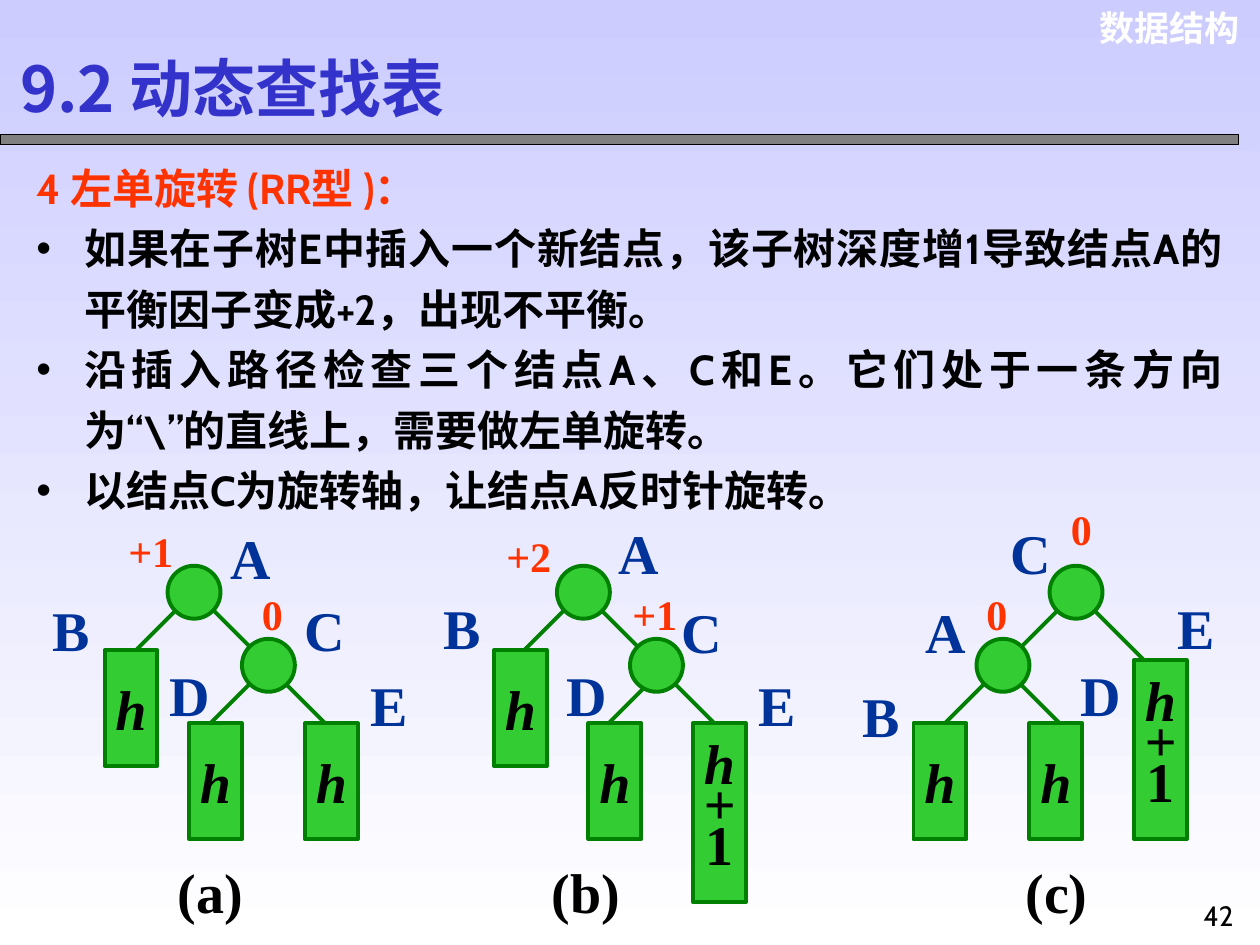
from dataclasses import dataclass

from lxml import etree
from pptx import Presentation
from pptx import util as u
from pptx.dml.color import RGBColor
from pptx.enum import lang, shapes, text
from pptx.oxml.ns import qn


@dataclass(frozen=True)
class Theme:
    sky: str = "CCCCFF"
    white: str = "FFFFFF"
    black: str = "000000"
    gray: str = "808080"
    title: str = "3333CC"
    name: str = "003399"
    accent: str = "FF3300"
    green: str = "33CC33"
    edge: str = "008000"
    sans: str = "Cabin"
    serif: str = "Times New Roman"
    heading: str = "Noto Sans CJK SC"
    header: str = "Arial"
    big: int = 36
    label: int = 32
    body: int = 24
    small: int = 20
    page: int = 16


T = Theme()
NODE = 0.42
LINE = 2.25
PLAIN = ["h"]
TALLER = ["h", "+", "1"]

HEADING = "4 左单旋转 (RR型 )："
BULLETS = [
    "如果在子树E中插入一个新结点，该子树深度增1导致结点A的平衡因子变成+2，出现不平衡。",
    "沿插入路径检查三个结点A、C和E。它们处于一条方向为“\\”的直线上，需要做左单旋转。",
    "以结点C为旋转轴，让结点A反时针旋转。",
]

TREES = [
    {
        "edges": [(1.42, 4.82, -0.42), (1.67, 4.82, 0.5), (2, 5.41, -0.42), (2.25, 5.41, 0.5)],
        "nodes": [(1.33, 4.49), (1.92, 5.07)],
        "subtrees": [(0.83, 5.16, PLAIN), (1.5, 5.74, PLAIN), (2.42, 5.74, PLAIN)],
        "names": [("A", 1.73, 4.11), ("B", 0.32, 4.68), ("C", 2.32, 4.68),
                  ("D", 1.25, 5.19), ("E", 2.84, 5.27)],
        "balances": [("+1", 0.92, 4.12), ("0", 1.98, 4.62)],
        "caption": ("(a)", 1.31),
    },
    {
        "edges": [(4.5, 4.82, -0.42), (4.67, 4.74, 0.5), (5.25, 5.32, -0.42), (5.25, 5.32, 0.5)],
        "nodes": [(4.42, 4.49), (5, 5.07)],
        "subtrees": [(3.92, 5.16, PLAIN), (4.67, 5.74, PLAIN), (5.5, 5.74, TALLER)],
        "names": [("A", 4.81, 4.07), ("B", 3.42, 4.66), ("C", 5.31, 4.69),
                  ("D", 4.4, 5.19), ("E", 5.92, 5.27)],
        "balances": [("+2", 3.92, 4.16), ("+1", 4.92, 4.62)],
        "caption": ("(b)", 4.28),
    },
    {
        "edges": [(8.42, 4.82, -0.42), (8.58, 4.74, 0.5), (7.83, 5.41, -0.42), (8.08, 5.41, 0.5)],
        "nodes": [(8.33, 4.49), (7.75, 5.07)],
        "subtrees": [(7.25, 5.74, PLAIN), (8.17, 5.74, PLAIN), (9, 5.24, TALLER)],
        "names": [("A", 7.25, 4.69), ("B", 6.75, 5.36), ("C", 7.92, 4.07),
                  ("D", 8.48, 5.19), ("E", 9.25, 4.66)],
        "balances": [("0", 8.4, 3.95), ("0", 7.73, 4.62)],
        "caption": ("(c)", 8.04),
    },
]


def rgb(value):
    return RGBColor.from_string(value)


def inches(*values):
    return [u.Inches(v) for v in values]


def write(p, words, font, size, color, bold=True, italic=False, **layout):
    for key, value in layout.items():
        setattr(p, key, value)
    r = p.add_run()
    r.text = words
    look = {"name": font, "size": u.Pt(size), "bold": bold, "italic": italic,
            "language_id": lang.MSO_LANGUAGE_ID.SIMPLIFIED_CHINESE}
    for key, value in look.items():
        setattr(r.font, key, value)
    r.font.color.rgb = rgb(color)
    etree.SubElement(r.font._element, qn("a:ea"), typeface=font)


def add_text(s, box, words, font, size, color, wrap=False, **layout):
    sp = s.shapes.add_textbox(*inches(*box))
    tf = sp.text_frame
    tf.word_wrap = wrap
    tf.auto_size = text.MSO_AUTO_SIZE.SHAPE_TO_FIT_TEXT
    write(tf.paragraphs[0], words, font, size, color, **layout)


def add_block(s, kind, box, fill, line, weight):
    sp = s.shapes.add_shape(kind, *inches(*box))
    sp.shadow.inherit = False
    sp.fill.solid()
    sp.fill.fore_color.rgb = rgb(fill)
    sp.line.color.rgb = rgb(line)
    sp.line.width = u.Pt(weight)
    return sp


def add_edge(s, x, y, run):
    ends = inches(x, y, x + run, y + abs(run))
    c = s.shapes.add_connector(shapes.MSO_CONNECTOR.STRAIGHT, *ends)
    c.line.color.rgb = rgb(T.edge)
    c.line.width = u.Pt(LINE)
    etree.SubElement(c._element.spPr, qn("a:effectLst"))


def add_subtree(s, x, y, lines):
    tall = len(lines) > 1
    box = (x, y, NODE, 1.42 if tall else 0.92)
    sp = add_block(s, shapes.MSO_SHAPE.RECTANGLE, box, T.green, T.edge, LINE)
    tf = sp.text_frame
    tf.word_wrap = False
    tf.vertical_anchor = text.MSO_ANCHOR.MIDDLE
    for i, words in enumerate(lines):
        p = tf.add_paragraph() if i else tf.paragraphs[0]
        write(p, words, T.serif, T.label, T.black, italic=words != "1",
              alignment=text.PP_ALIGN.CENTER, line_spacing=0.6 if tall else 1.0)


def add_tree(s, tree):
    for edge in tree["edges"]:
        add_edge(s, *edge)
    for x, y in tree["nodes"]:
        add_block(s, shapes.MSO_SHAPE.OVAL, (x, y, NODE, NODE), T.green, T.edge, LINE)
    for subtree in tree["subtrees"]:
        add_subtree(s, *subtree)
    for name, x, y in tree["names"]:
        add_text(s, (x, y, 0.54, 0.64), name, T.serif, T.label, T.name)
    for value, x, y in tree["balances"]:
        width = 0.6 if len(value) > 1 else 0.38
        add_text(s, (x, y, width, 0.5), value, T.serif, T.body, T.accent)
    caption, x = tree["caption"]
    add_text(s, (x, 6.76, 0.85, 0.64), caption, T.serif, T.label, T.black)


def add_bullet(p):
    pPr = p._p.get_or_add_pPr()
    color = etree.SubElement(pPr, qn("a:buClr"))
    etree.SubElement(color, qn("a:srgbClr"), val=T.black)
    etree.SubElement(pPr, qn("a:buFont"), typeface=T.header)
    etree.SubElement(pPr, qn("a:buChar"), char="•")


def add_body(s):
    tf = s.shapes.add_textbox(*inches(0.19, 1.16, 9.61, 2.99)).text_frame
    tf.word_wrap = True
    for i, words in enumerate([HEADING] + BULLETS):
        p = tf.add_paragraph() if i else tf.paragraphs[0]
        pPr = p._p.get_or_add_pPr()
        pPr.set("marL", str(u.Inches(0.38)))
        pPr.set("indent", str(u.Inches(-0.38)))
        if i:
            add_bullet(p)
        write(p, words, T.sans, T.body, T.black if i else T.accent,
              alignment=text.PP_ALIGN.JUSTIFY, line_spacing=1.2)


def add_title(s, words):
    sp = s.shapes.title
    sp.left, sp.top, sp.width, sp.height = inches(0.06, 0.34, 3.88, 1.3)
    tf = sp.text_frame
    tf.word_wrap = True
    tf.auto_size = text.MSO_AUTO_SIZE.NONE
    tf.vertical_anchor = text.MSO_ANCHOR.TOP
    write(tf.paragraphs[0], words, T.heading, T.big, T.title, alignment=text.PP_ALIGN.LEFT)


def paint_background(s):
    fill = s.background.fill
    fill.gradient()
    fill.gradient_angle = 270
    for stop, color in zip(fill.gradient_stops, (T.sky, T.white)):
        stop.color.rgb = rgb(color)


def main():
    prs = Presentation()
    prs.slide_width, prs.slide_height = inches(10, 7.5)
    s = prs.slides.add_slide(prs.slide_layouts[5])
    paint_background(s)
    add_text(s, (8.57, 0, 1.37, 0.44), "数据结构", T.header, T.small, T.white,
             wrap=True, alignment=text.PP_ALIGN.RIGHT)
    add_block(s, shapes.MSO_SHAPE.RECTANGLE, (0, 1.07, 9.83, 0.08), T.gray, T.black, 0.75)
    add_title(s, "9.2 动态查找表")
    add_body(s)
    for tree in TREES:
        add_tree(s, tree)
    add_text(s, (9.42, 7.08, 0.5, 0.42), "42", T.sans, T.page, T.black,
             wrap=True, bold=False, alignment=text.PP_ALIGN.CENTER)
    prs.save("out.pptx")


if __name__ == "__main__":
    main()
